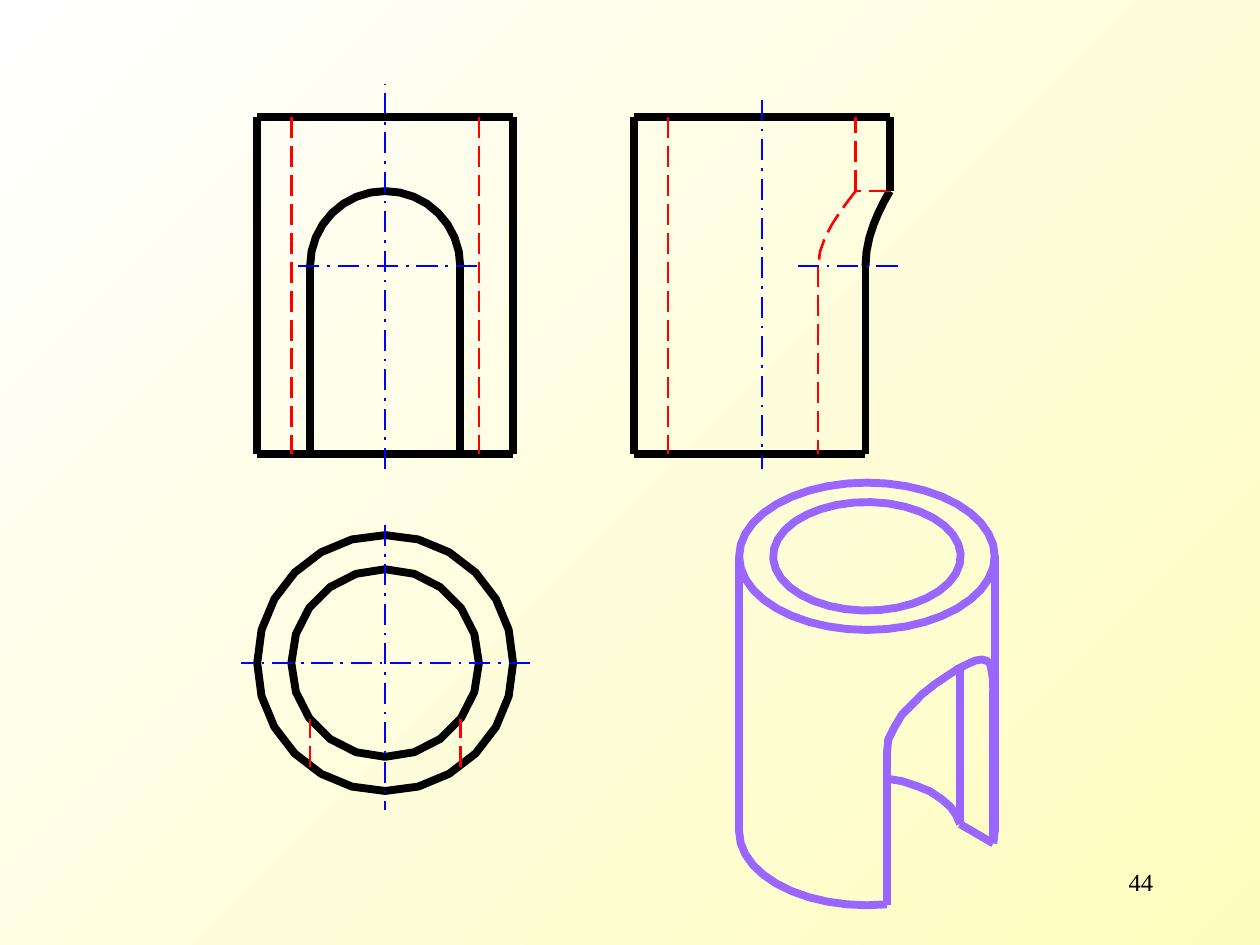
import math
from dataclasses import dataclass
from typing import Optional

import lxml.etree
import pptx
import pptx.dml.color
import pptx.enum.dml
import pptx.enum.shapes
import pptx.enum.text
import pptx.oxml.ns
import pptx.util

Pt = pptx.util.Pt
RGB = pptx.dml.color.RGBColor.from_string
Dash = pptx.enum.dml.MSO_LINE
Point = tuple[float, float]


@dataclass(frozen=True)
class Stroke:
    color: str
    width: float
    dash: Optional[Dash] = None


@dataclass(frozen=True)
class Theme:
    background: tuple[str, str] = ("FEFCBC", "FFFFFF")
    outline: Stroke = Stroke("000000", 4.5)
    hidden: Stroke = Stroke("FF0000", 1.5, Dash.LONG_DASH)
    axis: Stroke = Stroke("0000FF", 1.5, Dash.LONG_DASH_DOT)
    pictorial: Stroke = Stroke("9966FF", 4.5)
    text_color: str = "000000"
    text_font: str = "Times New Roman"
    text_size: float = 14


@dataclass(frozen=True)
class Line:
    start: Point
    end: Point
    stroke: Stroke


@dataclass(frozen=True)
class Curve:
    points: list[Point]
    stroke: Stroke
    closed: bool = False


THEME = Theme()

# Tube with an arched opening, shared by the three projections
OUTER, BORE, ARCH = 73.1, 53.6, 42.9
TOP, SPRING, BOTTOM = 66.9, 152.1, 259.7
CROWN = SPRING - ARCH
FRONT_X, SIDE_X, PLAN_Y = 220.1, 435.4, 378.9


def set_values(target, values: dict) -> None:
    for name, value in values.items():
        setattr(target, name, value)


def arc(center: Point, radius_x: float, radius_y: float,
        first: float, last: float, steps: int) -> list[Point]:
    """Points on an ellipse; degrees run clockwise from the right."""
    angles = [math.radians(first + (last - first) * i / steps) for i in range(steps + 1)]
    return [(center[0] + radius_x * math.cos(a), center[1] + radius_y * math.sin(a))
            for a in angles]


def ring(center: Point, radius_x: float, radius_y: float, sides: int,
         stroke: Stroke, first: float = 0) -> Curve:
    points = arc(center, radius_x, radius_y, first, first + 360, sides)[:-1]
    return Curve(points, stroke, closed=True)


def depth(radius: float, half_width: float) -> float:
    """Distance from the tube axis to a wall point at the given half width."""
    return math.sqrt(radius ** 2 - half_width ** 2)


def opening_profile(radius: float) -> list[Point]:
    """Side view of the arch where it cuts a wall of this radius."""
    return [(SIDE_X + depth(radius, x), y)
            for x, y in arc((0, SPRING), ARCH, ARCH, 0, -90, 8)]


def front_view() -> list:
    left, right = FRONT_X - OUTER, FRONT_X + OUTER
    parts = [Curve(arc((FRONT_X, SPRING), ARCH, ARCH, 180, 360, 16), THEME.outline)]
    parts += [Line((left, y), (right, y), THEME.outline) for y in (TOP, BOTTOM)]
    for side in (-1, 1):
        wall, jamb, bore = (FRONT_X + side * r for r in (OUTER, ARCH, BORE))
        parts += [Line((wall, TOP), (wall, BOTTOM), THEME.outline),
                  Line((jamb, BOTTOM), (jamb, SPRING), THEME.outline),
                  Line((bore, TOP), (bore, BOTTOM), THEME.hidden)]
    return parts + [Line((FRONT_X, 268), (FRONT_X, 48), THEME.axis),
                    Line((170.4, SPRING), (273.4, SPRING), THEME.axis)]


def plan_view() -> list:
    center = (FRONT_X, PLAN_Y)
    parts = [ring(center, OUTER, OUTER, 24, THEME.outline),
             ring(center, BORE, BORE, 20, THEME.outline)]
    for x in (FRONT_X - ARCH, FRONT_X + ARCH):
        parts.append(Line((x, PLAN_Y + depth(OUTER, ARCH)),
                          (x, PLAN_Y + depth(BORE, ARCH)), THEME.hidden))
    return parts + [Line((FRONT_X, 300), (FRONT_X, 463), THEME.axis),
                    Line((302.7, PLAN_Y), (137.9, PLAN_Y), THEME.axis)]


def side_view() -> list:
    left, right = SIDE_X - OUTER, SIDE_X + OUTER
    bore_left, bore_right = SIDE_X - BORE, SIDE_X + BORE
    jamb_outer, jamb_inner = (SIDE_X + depth(r, ARCH) for r in (OUTER, BORE))
    return [
        Curve(opening_profile(OUTER), THEME.outline),
        Curve(opening_profile(BORE)[::-1], THEME.hidden),
        Line((left, TOP), (right, TOP), THEME.outline),
        Line((left, BOTTOM), (jamb_outer, BOTTOM), THEME.outline),
        Line((jamb_outer, BOTTOM), (jamb_outer, SPRING), THEME.outline),
        Line((jamb_inner, SPRING), (jamb_inner, BOTTOM), THEME.hidden),
        Line((right, CROWN), (bore_right, CROWN), THEME.hidden),
        Line((bore_left, TOP), (bore_left, BOTTOM), THEME.hidden),
        Line((bore_right, CROWN), (bore_right, TOP), THEME.hidden),
        Line((right, CROWN), (right, TOP), THEME.outline),
        Line((left, TOP), (left, BOTTOM), THEME.outline),
        Line((SIDE_X, 57), (SIDE_X, 268), THEME.axis),
        Line((455.8, SPRING), (513, SPRING), THEME.axis),
    ]


def pictorial_view() -> list:
    stroke = THEME.pictorial
    center_x, top, bottom = 495.4, 317.9, 475.2
    radius_x, radius_y = 73, 42.1
    left, right = center_x - radius_x, center_x + radius_x
    near_foot, near_spring = (506.9, 517), (506.9, 429.3)
    inner_foot, far_foot, far_spring = (548.6, 470.9), (567.6, 482), (567.6, 394.4)
    arch = [near_spring, (507.6, 422.6), (511.2, 415.4), (515.5, 408.2), (521.3, 402.5),
            (527, 396.7), (534.2, 391), (540.7, 386.6), (547.2, 382.3), (553, 379.4),
            (557.3, 377.5), (560.9, 376.9), (563.8, 377.5), (565.9, 379.4),
            (566.6, 383), (567.4, 388.1), far_spring]
    bore_foot = [inner_foot, (546.5, 465.8), (542.9, 460.8), (537.8, 456.5),
                 (531.4, 452.2), (524.2, 449.3), (515.5, 446.4), (506.9, 445)]
    edges = [(near_foot, near_spring), (far_foot, inner_foot),
             (inner_foot, (inner_foot[0], 381.6)), (far_spring, far_foot),
             (far_foot, (right, bottom)), ((right, bottom), (right, top)),
             ((left, top), (left, bottom))]
    return [
        ring((center_x, top), radius_x, radius_y, 40, stroke),
        Curve(arc((center_x, bottom), radius_x, radius_y, 180, 81, 11), stroke),
        Curve(bore_foot, stroke),
        ring((center_x, top), 53.6, 31, 34, stroke, first=135),
        Curve(arch, stroke),
    ] + [Line(start, end, stroke) for start, end in edges]


def apply_stroke(line, stroke: Stroke) -> None:
    line.color.rgb = RGB(stroke.color)
    set_values(line, {"width": Pt(stroke.width), "dash_style": stroke.dash})


def draw_line(slide, item: Line):
    connector = slide.shapes.add_connector(
        pptx.enum.shapes.MSO_CONNECTOR.STRAIGHT,
        *(Pt(value) for value in item.start + item.end))
    apply_stroke(connector.line, item.stroke)
    lxml.etree.SubElement(connector._element.spPr, pptx.oxml.ns.qn("a:effectLst"))
    return connector


def draw_curve(slide, item: Curve):
    points = [(Pt(x), Pt(y)) for x, y in item.points]
    builder = slide.shapes.build_freeform(*points[0])
    builder.add_line_segments(points[1:], close=item.closed)
    shape = builder.convert_to_shape()
    shape.fill.background()
    apply_stroke(shape.line, item.stroke)
    shape.shadow.inherit = False
    return shape


def draw_group(slide, items: list) -> None:
    shapes = [draw_line(slide, item) if isinstance(item, Line) else draw_curve(slide, item)
              for item in items]
    slide.shapes.add_group_shape(shapes)


def draw_page_number(slide, text: str) -> None:
    frame = slide.shapes.add_textbox(Pt(516), Pt(492), Pt(150), Pt(36)).text_frame
    frame.word_wrap = True
    paragraph = frame.paragraphs[0]
    set_values(paragraph, {"text": text, "alignment": pptx.enum.text.PP_ALIGN.RIGHT})
    font = paragraph.runs[0].font
    set_values(font, {"name": THEME.text_font, "size": Pt(THEME.text_size)})
    font.color.rgb = RGB(THEME.text_color)


def main() -> None:
    presentation = pptx.Presentation()
    set_values(presentation, {"slide_width": Pt(720), "slide_height": Pt(540)})
    slide = presentation.slides.add_slide(presentation.slide_layouts[6])
    fill = slide.background.fill
    fill.gradient()
    fill.gradient_angle = 135
    for stop, color in zip(fill.gradient_stops, THEME.background):
        stop.color.rgb = RGB(color)
    draw_group(slide, pictorial_view())
    draw_group(slide, front_view() + plan_view() + side_view())
    draw_page_number(slide, "44")
    presentation.save("out.pptx")


if __name__ == "__main__":
    main()
